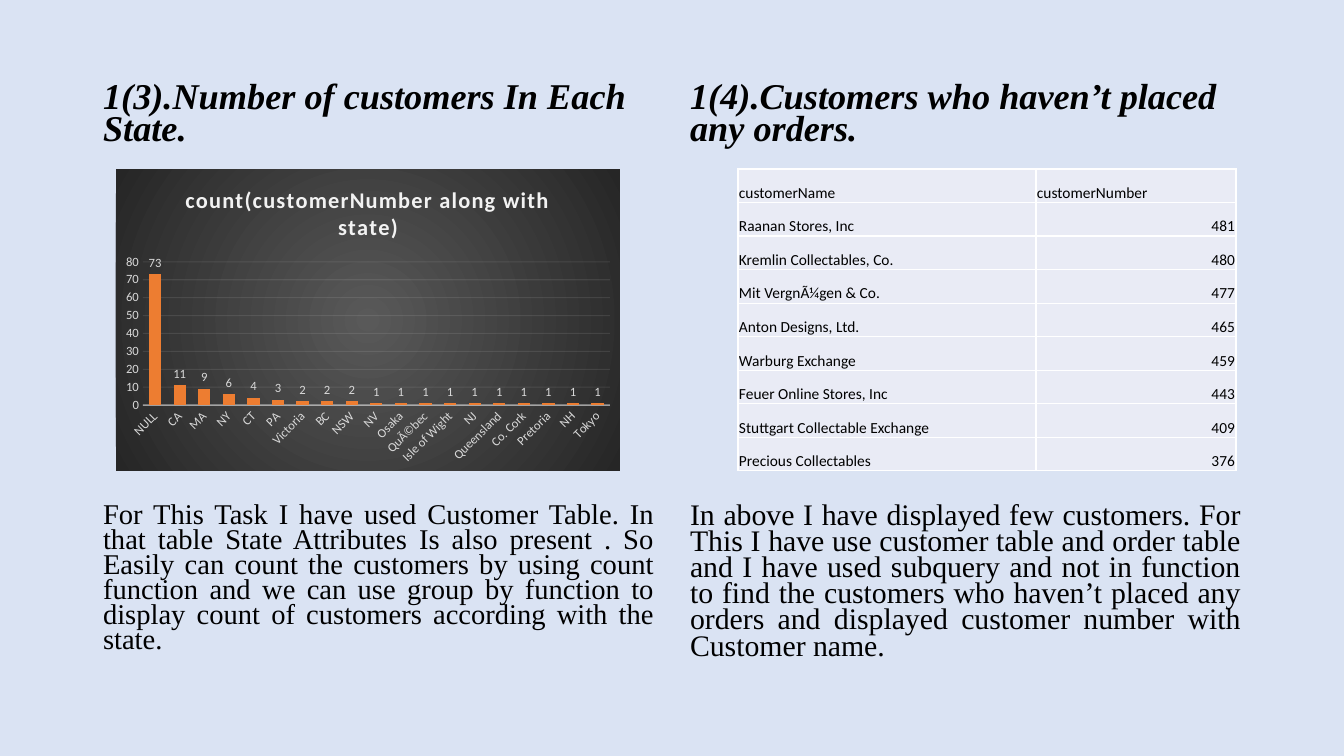
from dataclasses import dataclass

from lxml import etree
from pptx import Presentation
from pptx.chart.data import CategoryChartData
from pptx.dml.color import RGBColor
from pptx.enum.chart import XL_CHART_TYPE, XL_LABEL_POSITION, XL_TICK_MARK
from pptx.enum.text import MSO_ANCHOR, MSO_AUTO_SIZE, PP_ALIGN
from pptx.oxml import parse_xml
from pptx.oxml.ns import nsdecls, qn
from pptx.util import Emu, Pt

COLUMN = XL_CHART_TYPE.COLUMN_CLUSTERED
OUTSIDE_END = XL_LABEL_POSITION.OUTSIDE_END
NO_TICK = XL_TICK_MARK.NONE
LEFT, RIGHT, JUSTIFY = PP_ALIGN.LEFT, PP_ALIGN.RIGHT, PP_ALIGN.JUSTIFY
TOP, BOTTOM = MSO_ANCHOR.TOP, MSO_ANCHOR.BOTTOM
NO_AUTOFIT = MSO_AUTO_SIZE.NONE
TWO_CONTENT = 3
SERIF, SANS = "Times New Roman", "Calibri"
BLACK, PALE, AXIS = "000000", "D9D9D9", "F2F2F2"


@dataclass
class Panel:
    idx: int
    left: int
    heading: str
    body: str
    body_size: float


PANELS = [
    Panel(1, 93, "1(3).Number of customers In Each State.",
          "For This Task I have used Customer Table. In that table State Attributes "
          "Is also present . So Easily can count the customers by using count function "
          "and we can use group by function to display count of customers according "
          "with the state.", 20.4),
    Panel(2, 680, "1(4).Customers who haven’t placed any orders.",
          "In above I have displayed few customers. For This I have use customer table "
          "and order table and I have used subquery and not in function to find the "
          "customers who haven’t placed any orders and displayed customer number with "
          "Customer name.", 21.3),
]

STATES = {
    "NULL": 73, "CA": 11, "MA": 9, "NY": 6, "CT": 4, "PA": 3, "Victoria": 2,
    "BC": 2, "NSW": 2, "NV": 1, "Osaka": 1, "QuÃ©bec": 1, "Isle of Wight": 1,
    "NJ": 1, "Queensland": 1, "Co. Cork": 1, "Pretoria": 1, "NH": 1, "Tokyo": 1,
}

CUSTOMERS = [
    ("customerName", "customerNumber"),
    ("Raanan Stores, Inc", "481"),
    ("Kremlin Collectables, Co.", "480"),
    ("Mit VergnÃ¼gen & Co.", "477"),
    ("Anton Designs, Ltd.", "465"),
    ("Warburg Exchange", "459"),
    ("Feuer Online Stores, Inc", "443"),
    ("Stuttgart Collectable Exchange", "409"),
    ("Precious Collectables", "376"),
]


def px(n: int) -> Emu:
    return Emu(round(n * 914400 / 100.8))


def rgb(color: str) -> RGBColor:
    return RGBColor.from_string(color)


def style_font(font, size: float, color: str, name: str, bold=False, italic=False) -> None:
    font.size, font.name = Pt(size), name
    font.bold, font.italic = bold, italic
    font.color.rgb = rgb(color)


def add_paragraph(p, text: str, size: float, before: int, align, strong: bool) -> None:
    p.alignment = align
    p.line_spacing = 0.73
    p.space_before = Pt(before)
    pPr = p._p.get_or_add_pPr()
    pPr.set("marL", "0")
    pPr.set("indent", "0")
    etree.SubElement(pPr, qn("a:buNone"))
    r = p.add_run()
    r.text = text
    style_font(r.font, size, BLACK, SERIF, strong, strong)


def fill_panel(s, panel: Panel) -> None:
    sp = s.placeholders[panel.idx]
    sp.left, sp.top, sp.width, sp.height = px(panel.left), px(79), px(571), px(602)
    tf = sp.text_frame
    tf.word_wrap, tf.auto_size, tf.vertical_anchor = True, NO_AUTOFIT, TOP
    add_paragraph(tf.paragraphs[0], panel.heading, 25.9, 10, LEFT, True)
    add_paragraph(tf.add_paragraph(), panel.body, panel.body_size, 255, JUSTIFY, False)


def set_alpha(line, percent: int) -> None:
    clr = line._ln.find(".//" + qn("a:srgbClr"))
    etree.SubElement(clr, qn("a:alpha")).set("val", str(percent * 1000))


def style_line(line, width: float, percent: int) -> None:
    line.color.rgb = rgb(AXIS)
    line.width = Pt(width)
    set_alpha(line, percent)


def add_state_chart(s) -> None:
    data = CategoryChartData()
    data.categories = list(STATES)
    data.add_series("Series 1", list(STATES.values()))
    chart = s.shapes.add_chart(COLUMN, px(116), px(169), px(504), px(302), data).chart
    style_font(chart.font, 10, BLACK, SANS)
    chart.has_legend = False
    chart.has_title = True
    r = chart.chart_title.text_frame.paragraphs[0].add_run()
    r.text = "count(customerNumber along with state)"
    style_font(r.font, 16, AXIS, SANS, True)
    r.font._element.set("spc", "100")

    plot = chart.plots[0]
    plot.gap_width, plot.overlap, plot.vary_by_categories = 100, -24, False
    plot.series[0].format.fill.solid()
    plot.series[0].format.fill.fore_color.rgb = rgb("ED7D31")
    plot.has_data_labels = True
    labels = plot.data_labels
    labels.show_value, labels.position = True, OUTSIDE_END
    style_font(labels.font, 9, PALE, SANS)

    for axis in (chart.category_axis, chart.value_axis):
        axis.major_tick_mark = axis.minor_tick_mark = NO_TICK
        style_font(axis.tick_labels.font, 9, PALE, SANS)
    style_line(chart.category_axis.format.line, 1, 54)
    value = chart.value_axis
    value.minimum_scale, value.maximum_scale, value.major_unit = 0, 80, 10
    value.format.line.fill.background()
    style_line(value.major_gridlines.format.line, 0.75, 10)

    background = parse_xml(
        f'<c:spPr {nsdecls("c", "a")}><a:gradFill><a:gsLst>'
        '<a:gs pos="0"><a:srgbClr val="595959"/></a:gs>'
        '<a:gs pos="100000"><a:srgbClr val="262626"/></a:gs></a:gsLst>'
        '<a:path path="circle"><a:fillToRect l="50000" t="50000" r="50000" b="50000"/>'
        '</a:path></a:gradFill><a:ln><a:noFill/></a:ln></c:spPr>')
    chart._chartSpace.find(qn("c:chart")).addnext(background)


def style_cell(cell, text: str, align) -> None:
    cell.margin_left = cell.margin_right = cell.margin_top = px(1)
    cell.margin_bottom = 0
    cell.vertical_anchor = BOTTOM
    p = cell.text_frame.paragraphs[0]
    p.alignment = align
    r = p.add_run()
    r.text = text
    style_font(r.font, 11, BLACK, SANS)
    tcPr = cell._tc.get_or_add_tcPr()
    for side in ("lnL", "lnR", "lnT", "lnB"):
        tcPr.append(parse_xml(
            f'<a:{side} {nsdecls("a")} w="12700"><a:solidFill>'
            f'<a:srgbClr val="FFFFFF"/></a:solidFill></a:{side}>'))
    cell.fill.solid()
    cell.fill.fore_color.rgb = rgb("E9EBF5")


def add_customer_table(s) -> None:
    table = s.shapes.add_table(len(CUSTOMERS), 2, px(738), px(169), px(498), px(302)).table
    for column, width in zip(table.columns, (298, 200)):
        column.width = px(width)
    for i, row in enumerate(CUSTOMERS):
        for j, text in enumerate(row):
            style_cell(table.cell(i, j), text, RIGHT if i and j else LEFT)


def main() -> None:
    prs = Presentation()
    prs.slide_width, prs.slide_height = px(1344), px(756)
    s = prs.slides.add_slide(prs.slide_layouts[TWO_CONTENT])
    s.background.fill.solid()
    s.background.fill.fore_color.rgb = rgb("DAE3F3")
    title = s.shapes.title._element
    title.getparent().remove(title)
    for panel in PANELS:
        fill_panel(s, panel)
    add_state_chart(s)
    add_customer_table(s)
    prs.save("out.pptx")


if __name__ == "__main__":
    main()
